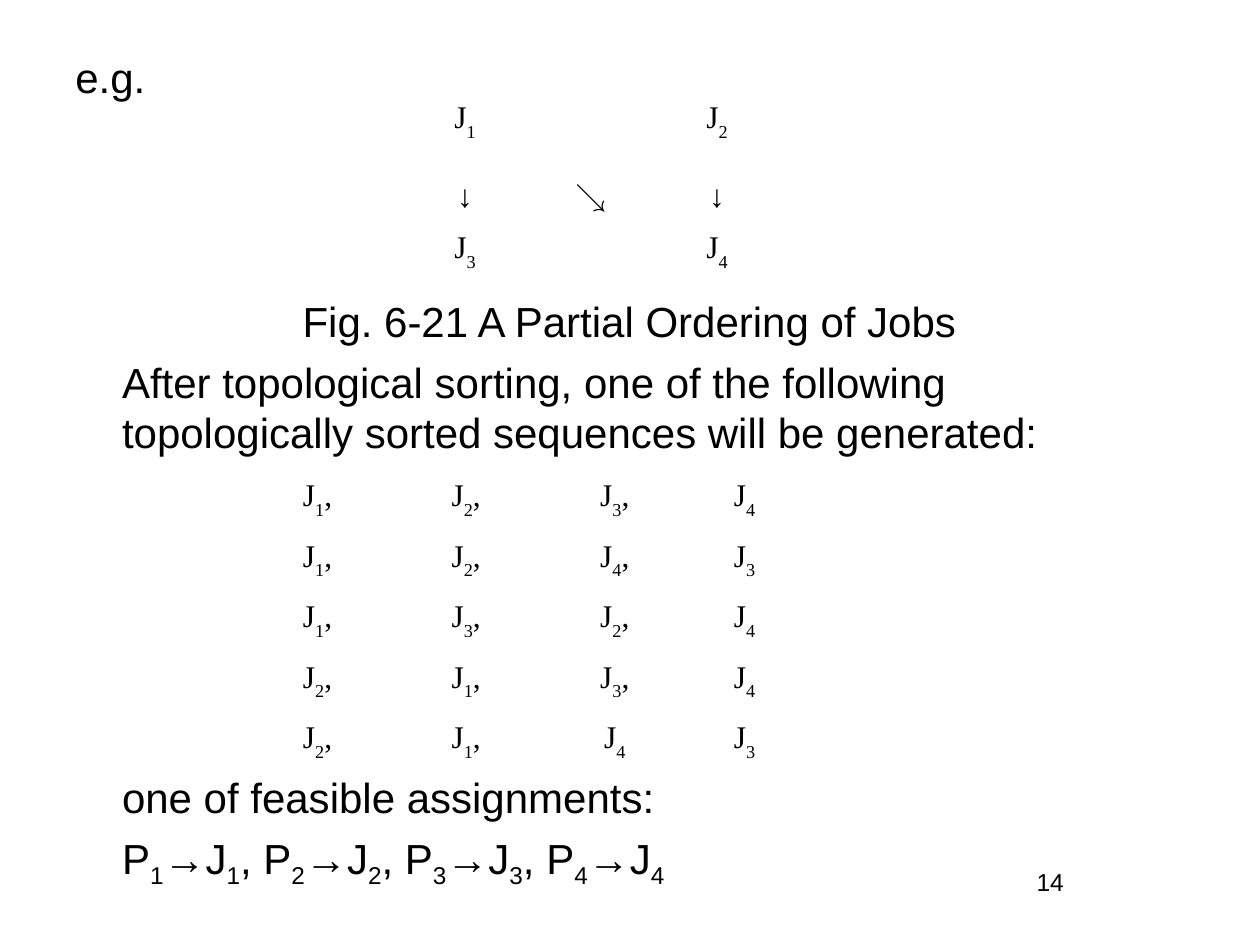
"""Build the slide on topologically sorting a partial ordering of jobs."""
from dataclasses import dataclass

from pptx import Presentation
from pptx.dml.color import RGBColor
from pptx.enum.text import PP_ALIGN as Align
from pptx.slide import Slide
from pptx.text.text import _Paragraph as Paragraph
from pptx.util import Inches, Pt

BLACK = "000000"


@dataclass(frozen=True)
class Line:
    text: str
    before: float = 0
    align: Align = Align.LEFT
    indent: float = 0


@dataclass(frozen=True)
class Grid:
    left: float
    top: float
    widths: tuple[float, ...]
    heights: tuple[float, ...]
    rows: tuple[str, ...]


BODY = (
    Line("e.g."),
    Line("Fig. 6-21 A Partial Ordering of Jobs", 110.5, Align.CENTER),
    Line("After topological sorting, one of the following topologically "
         "sorted sequences will be generated:", 6, indent=0.37),
    Line("one of feasible assignments:", 179.5, indent=0.37),
    Line("P_1→J_1, P_2→J_2, P_3→J_3, P_4→J_4", 6, indent=0.37),
)
ORDERING = Grid(3.19, 0.75, (1, 1, 1), (0.62, 0.41, 0.62),
                ("J_1||J_2", "↓|↘|↓", "J_3||J_4"))
SEQUENCES = Grid(1.93, 3.75, (1.18, 1.18, 1.18, 0.88), (0.48,) * 5,
                 ("J_1,|J_2,|J_3,|J_4",
                  "J_1,|J_2,|J_4,|J_3",
                  "J_1,|J_3,|J_2,|J_4",
                  "J_2,|J_1,|J_3,|J_4",
                  "J_2,|J_1,|J_4|J_3"))


def color(value: str) -> RGBColor:
    return RGBColor.from_string(value)


def write(paragraph: Paragraph, text: str, size: float, face: str,
          align: Align, drop: int = -25) -> None:
    paragraph.alignment = align
    paragraph.font.size = Pt(size)
    paragraph.font.name = face
    paragraph.font.color.rgb = color(BLACK)
    first, *marked = text.split("_")
    if first:
        paragraph.add_run().text = first
    for part in marked:
        subscript = paragraph.add_run()
        subscript.text = part[0]
        subscript.font._element.set("baseline", str(drop * 1000))
        if part[1:]:
            paragraph.add_run().text = part[1:]


def draw_text(slide: Slide, left: float, top: float, width: float,
              height: float, lines: tuple[Line, ...], size: float) -> None:
    frame = slide.shapes.add_textbox(
        Inches(left), Inches(top), Inches(width), Inches(height)).text_frame
    frame.word_wrap = True
    for index, line in enumerate(lines):
        paragraph = frame.add_paragraph() if index else frame.paragraphs[0]
        write(paragraph, line.text, size, "Arial", line.align)
        if line.before:
            paragraph.space_before = Pt(line.before)
        if line.indent:
            paragraph._p.get_or_add_pPr().set("marL", str(Inches(line.indent)))


def draw_grid(slide: Slide, grid: Grid) -> None:
    table = slide.shapes.add_table(
        len(grid.heights), len(grid.widths), Inches(grid.left),
        Inches(grid.top), Inches(sum(grid.widths)),
        Inches(sum(grid.heights))).table
    table.first_row = table.horz_banding = False
    for column, width in zip(table.columns, grid.widths):
        column.width = Inches(width)
    for row, height, texts in zip(table.rows, grid.heights, grid.rows):
        row.height = Inches(height)
        for cell, text in zip(row.cells, texts.split("|")):
            cell.fill.background()
            write(cell.text_frame.paragraphs[0], text, 18,
                  "Times New Roman", Align.CENTER, -30)


def main() -> None:
    deck = Presentation()
    deck.slide_width, deck.slide_height = Inches(10), Inches(7.5)
    slide = deck.slides.add_slide(deck.slide_layouts[6])
    draw_text(slide, 0.5, 0.36, 8.99, 6.69, BODY, 24)
    draw_grid(slide, ORDERING)
    draw_grid(slide, SEQUENCES)
    draw_text(slide, 7.17, 6.83, 2.33, 0.52,
              (Line("14", align=Align.CENTER),), 14)
    deck.save("out.pptx")


if __name__ == "__main__":
    main()
